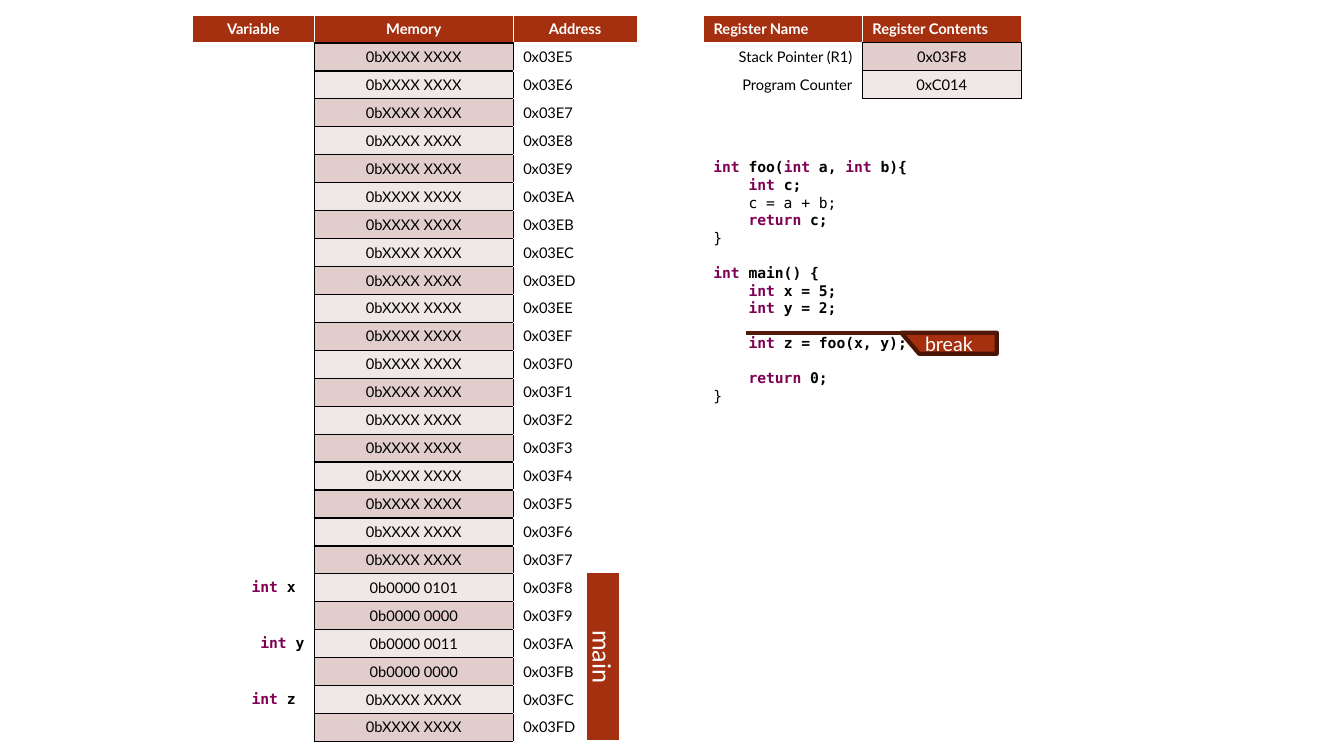
import dataclasses

import lxml.etree
import pptx
import pptx.dml.color
import pptx.enum.shapes
import pptx.enum.text
import pptx.oxml.ns
import pptx.util

Pt = pptx.util.Pt
ALIGN = pptx.enum.text.PP_ALIGN
qn = pptx.oxml.ns.qn

RUST, MAROON, KEYWORD = "A5300F", "481507", "7F0055"
BLACK, WHITE = "000000", "FFFFFF"
BANDS = ["E1CDCC", "F0E8E7"]
BODY, MONO = "Lato", "DejaVu Sans Mono"


def rgb(value):
    return pptx.dml.color.RGBColor.from_string(value)


def write(paragraph, text, size=10.5, color=BLACK, bold=False, font=BODY,
          align=ALIGN.LEFT, before=0, code=False):
    """Fill a paragraph; code gets coloured keywords and bold statements."""
    paragraph.alignment = align
    paragraph.space_before = Pt(before)
    pieces = [text]
    if code:
        font = MONO
        for keyword in ("int", "return"):
            text = text.replace(keyword, f"|{keyword}|")
        pieces = text.split("|")
        bold = len(pieces) > 1
    for piece in filter(None, pieces):
        run = paragraph.add_run()
        run.text = piece
        run.font.size, run.font.bold, run.font.name = Pt(size), bold, font
        run.font.color.rgb = rgb(KEYWORD if piece in ("int", "return") else color)
    if not text:
        # An empty cell must not stretch its row
        end = lxml.etree.SubElement(paragraph._p, qn("a:endParaRPr"))
        end.set("sz", str(int(size * 100)))


@dataclasses.dataclass
class Cell:
    text: str
    fill: str = WHITE
    align: int = ALIGN.LEFT
    color: str = BLACK
    bold: bool = False
    code: bool = False
    edges: tuple = (WHITE,) * 4  # left, right, top, bottom


def heading(text, align, bottom=WHITE):
    return Cell(text, RUST, align, WHITE, True, edges=(WHITE, WHITE, WHITE, bottom))


def label(text, code=False):
    return Cell(text, align=ALIGN.RIGHT, code=code, edges=(WHITE, BLACK, WHITE, WHITE))


def value(text, index):
    return Cell(text, BANDS[index % 2], ALIGN.CENTER, edges=(BLACK,) * 4)


class Canvas:
    def __init__(self, slide):
        self.slide = slide

    def style(self, shape, fill, line, weight):
        shape.shadow.inherit = False
        shape.fill.solid()
        shape.fill.fore_color.rgb = rgb(fill)
        shape.line.color.rgb = rgb(line)
        shape.line.width = Pt(weight)

    def caption(self, shape, text, size):
        frame = shape.text_frame
        frame.margin_top = frame.margin_bottom = 0
        frame.vertical_anchor = pptx.enum.text.MSO_ANCHOR.MIDDLE
        write(frame.paragraphs[0], text, size=size, color=WHITE, align=ALIGN.CENTER)

    def borders(self, cell, edges):
        properties = cell._tc.get_or_add_tcPr()
        for position, (side, color) in enumerate(zip("LRTB", edges)):
            line = lxml.etree.Element(qn(f"a:ln{side}"), w=str(Pt(1)))
            fill = lxml.etree.SubElement(line, qn("a:solidFill"))
            lxml.etree.SubElement(fill, qn("a:srgbClr"), val=color)
            properties.insert(position, line)

    def table(self, left, top, widths, row_height, rows):
        table = self.slide.shapes.add_table(
            len(rows), len(widths), Pt(left), Pt(top),
            Pt(sum(widths)), Pt(row_height * len(rows))).table
        table.horz_banding = table.first_row = False
        for column, width in zip(table.columns, widths):
            column.width = Pt(width)
        for row, cells in zip(table.rows, rows):
            row.height = Pt(row_height)
            for cell, content in zip(row.cells, cells):
                cell.fill.solid()
                cell.fill.fore_color.rgb = rgb(content.fill)
                self.borders(cell, content.edges)
                write(cell.text_frame.paragraphs[0], content.text,
                      align=content.align, color=content.color,
                      bold=content.bold, code=content.code)

    def listing(self, left, top, width, height, lines):
        frame = self.slide.shapes.add_textbox(
            Pt(left), Pt(top), Pt(width), Pt(height)).text_frame
        frame.word_wrap = True
        for index, (line, before) in enumerate(lines):
            paragraph = frame.add_paragraph() if index else frame.paragraphs[0]
            write(paragraph, line, before=before, code=True)

    def outline(self, points, text, size):
        start, *rest = [(Pt(x), Pt(y)) for x, y in points]
        builder = self.slide.shapes.build_freeform(*start)
        builder.add_line_segments(rest, close=True)
        shape = builder.convert_to_shape()
        self.style(shape, RUST, MAROON, 3)
        self.caption(shape, text, size)

    def rule(self, left, right, y):
        line = self.slide.shapes.add_connector(
            pptx.enum.shapes.MSO_CONNECTOR.STRAIGHT, Pt(left), Pt(y), Pt(right), Pt(y))
        line.line.color.rgb = rgb("521808")
        line.line.width = Pt(3)
        lxml.etree.SubElement(line._element.spPr, qn("a:effectLst"))

    def upright_bar(self, left, top, width, height, text, size):
        bar = self.slide.shapes.add_shape(
            pptx.enum.shapes.MSO_SHAPE.RECTANGLE, Pt(left), Pt(top), Pt(width), Pt(height))
        bar.rotation = 90
        self.style(bar, RUST, WHITE, 2)
        self.caption(bar, text, size)


def main():
    deck = pptx.Presentation()
    deck.slide_width, deck.slide_height = Pt(960), Pt(540)
    canvas = Canvas(deck.slides.add_slide(deck.slide_layouts[6]))

    # Memory map, one byte per row
    first_address, row_count = 0x03E5, 25
    variables = {0x03F8: "int x ", 0x03FA: "int y", 0x03FC: "int z "}
    stored = {0x03F8: "0b0000 0101", 0x03F9: "0b0000 0000",
              0x03FA: "0b0000 0011", 0x03FB: "0b0000 0000"}
    memory = [[heading("Variable", ALIGN.CENTER),
               heading("Memory", ALIGN.CENTER, BLACK),
               heading("Address", ALIGN.CENTER)]]
    for index in range(row_count):
        address = first_address + index
        memory.append([label(variables.get(address, ""), code=True),
                       value(stored.get(address, "0bXXXX XXXX"), index),
                       Cell(f"0x{address:04X}", edges=(BLACK, WHITE, WHITE, WHITE))])
    canvas.table(137.5, 10.8, [87.1, 142, 88.5], 19.94, memory)

    # Program code; the second number is the gap above the line
    gap = 12.5
    canvas.listing(502.5, 109.5, 248.4, 185, [
        ("int foo(int a, int b){", 0),
        ("    int c;", 0),
        ("    c = a + b;", 0),
        ("    return c;", 0),
        ("}", 0),
        ("int main() {", gap),
        ("    int x = 5;", 0),
        ("    int y = 2;", 0),
        ("    int z = foo(x, y);", gap),
        ("    return 0;", gap),
        ("}", 0),
    ])

    # Registers
    registers = [("Stack Pointer (R1)", "0x03F8"), ("Program Counter", "0xC014")]
    canvas.table(502.5, 10.8, [113.5, 113.5], 19.8, [
        [heading("Register Name", ALIGN.LEFT),
         heading("Register Contents", ALIGN.LEFT, BLACK)],
        *([label(name), value(content, index)]
          for index, (name, content) in enumerate(registers)),
    ])

    # Breakpoint flag and its line
    flag_top, flag_bottom, flag_right = 237.6, 252.7, 712
    canvas.outline([(flag_right, flag_top), (643.7, flag_top),
                    (656.6, flag_bottom), (flag_right, flag_bottom)], "break", 14)
    canvas.rule(532.8, flag_right, flag_top)

    # Stack frame of main
    canvas.upright_bar(370, 456.5, 121, 25.2, "main", 18)

    deck.save("out.pptx")


if __name__ == "__main__":
    main()
